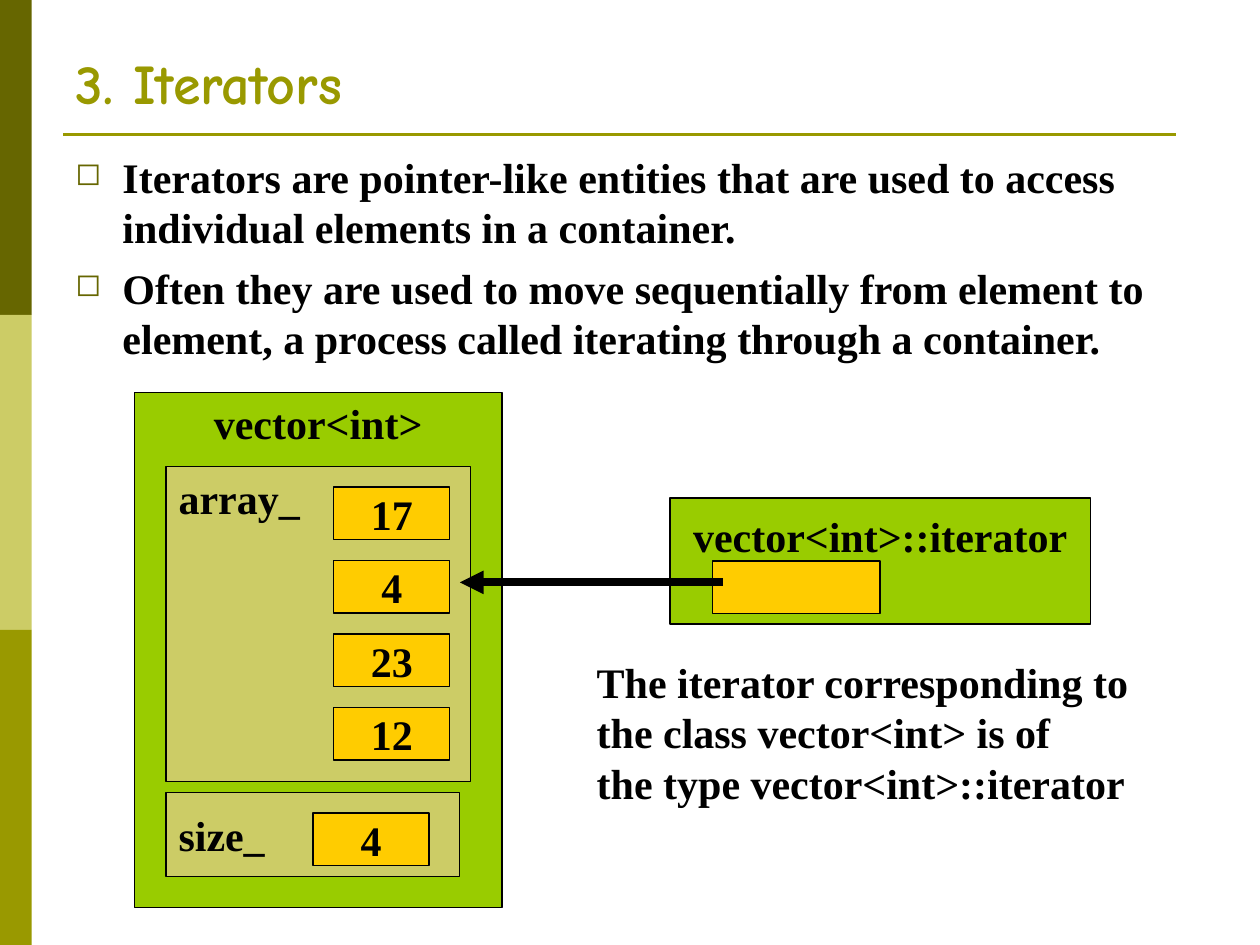
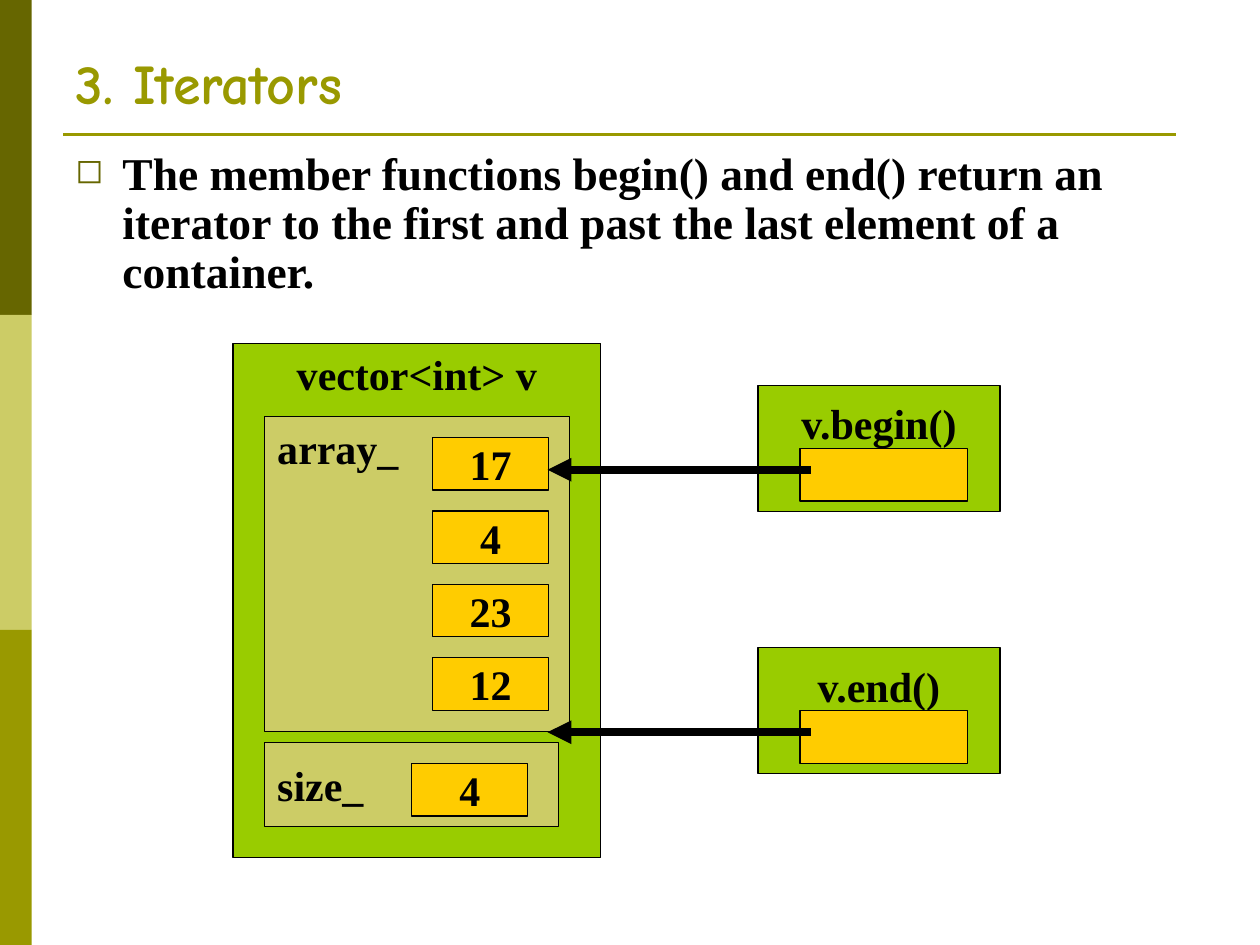
"""Build two slides on iterators over a vector."""
from dataclasses import dataclass

from lxml.etree import SubElement
from pptx import Presentation
from pptx.dml.color import RGBColor
from pptx.enum.shapes import MSO_CONNECTOR, MSO_SHAPE
from pptx.enum.text import MSO_ANCHOR, PP_ALIGN
from pptx.oxml.ns import qn
from pptx.util import Cm, Pt


@dataclass(frozen=True)
class Theme:
    """Colours, fonts and type sizes."""
    dark: str = "666600"
    pale: str = "CCCC66"
    olive: str = "999900"
    green: str = "99CC00"
    gold: str = "FFCC00"
    ink: str = "000000"
    head: str = "Comic Neue"
    body: str = "Times New Roman"
    title: int = 32
    lead: int = 26
    text: int = 24


THEME = Theme()


def style(para, size=THEME.text, name=THEME.body, tint=THEME.ink):
    """Set the bold font of a paragraph."""
    font = para.font
    font.name, font.size, font.bold = name, Pt(size), True
    font.color.rgb = RGBColor.from_string(tint)


def add_rect(slide, x, y, wide, high, fill, edge=True):
    """Draw a filled rectangle, with or without an outline."""
    rect = slide.shapes.add_shape(
        MSO_SHAPE.RECTANGLE, Cm(x), Cm(y), Cm(wide), Cm(high))
    rect.shadow.inherit = False
    rect.fill.solid()
    rect.fill.fore_color.rgb = RGBColor.from_string(fill)
    if edge:
        rect.line.color.rgb = RGBColor.from_string(THEME.ink)
        rect.line.width = Pt(0.75)
    else:
        rect.line.fill.background()
    return rect


def add_label(rect, text, align=PP_ALIGN.CENTER, top=None):
    """Write in a rectangle, in the middle or a set way from its top."""
    frame = rect.text_frame
    frame.word_wrap = True
    frame.vertical_anchor = MSO_ANCHOR.MIDDLE
    if top is not None:
        frame.vertical_anchor = MSO_ANCHOR.TOP
        frame.margin_top = Cm(top)
    para = frame.paragraphs[0]
    para.text, para.alignment = text, align
    style(para)


def add_line(slide, start, end, tint, width):
    """Draw a straight line without a shadow."""
    line = slide.shapes.add_connector(
        MSO_CONNECTOR.STRAIGHT, *(Cm(n) for n in (*start, *end)))
    line.line.color.rgb = RGBColor.from_string(tint)
    line.line.width = Pt(width)
    SubElement(line.element.spPr, qn("a:effectLst"))
    return line


def add_arrow(slide, start, end):
    """Draw a thick line with a head at its end."""
    arrow = add_line(slide, start, end, THEME.ink, 4.5)
    SubElement(arrow.line._get_or_add_ln(), qn("a:tailEnd"), type="triangle")


def add_frame(slide):
    """Put the side bands and title rule on the layout of a slide."""
    tints = (THEME.dark, THEME.pale, THEME.olive)
    parts = [add_rect(slide, 0, 6.35 * row, 0.64, 6.35, tint, False)
             for row, tint in enumerate(tints)]
    parts.append(add_line(slide, (1.27, 2.71), (23.7, 2.71), THEME.olive, 1.5))
    for part in parts:
        slide.slide_layout.shapes.element.append(part.element)


def add_title(slide, text):
    """Place and format the title."""
    title = slide.shapes.title
    title.left, title.top = Cm(1.27), Cm(0.71)
    title.width, title.height = Cm(22.86), Cm(1.75)
    frame = title.text_frame
    frame.vertical_anchor = MSO_ANCHOR.BOTTOM
    para = frame.paragraphs[0]
    para.text, para.alignment = text, PP_ALIGN.LEFT
    style(para, THEME.title, THEME.head, THEME.olive)


def add_text(slide, x, y, wide, high, lines):
    """Add a wrapped text box and give back its paragraphs."""
    frame = slide.shapes.add_textbox(
        Cm(x), Cm(y), Cm(wide), Cm(high)).text_frame
    frame.word_wrap = True
    frame.text = "\n".join(lines)
    return frame.paragraphs


def add_points(slide, high, lines, size=THEME.text, pitch=1.0):
    """Add the list of points below the title."""
    paras = add_text(slide, 1.27, 2.92, 22.86, high, lines)
    for rank, para in enumerate(paras):
        para.line_spacing = pitch
        para.space_before = Pt(6 if rank else 0)
        props = para._p.get_or_add_pPr()
        props.set("marL", str(Cm(0.95)))
        props.set("indent", str(Cm(-0.95)))
        tint = SubElement(props, qn("a:buClr"))
        SubElement(tint, qn("a:srgbClr"), val=THEME.dark)
        SubElement(props, qn("a:buSzPct"), val="75000")
        SubElement(props, qn("a:buChar"), char="◻")
        style(para, size)


def add_cell(slide, x, y, value):
    """Draw one stored value."""
    add_label(add_rect(slide, x, y, 2.34, 1.06, THEME.gold), value)


def add_vector(slide, x, y, name, values):
    """Draw a vector with its array and its size."""
    left = PP_ALIGN.LEFT
    add_label(add_rect(slide, x, y, 7.41, 10.37, THEME.green), name, top=0.1)
    store = add_rect(slide, x + 0.64, y + 1.48, 6.14, 6.35, THEME.pale)
    add_label(store, "array_", left, 0.12)
    for row, value in enumerate(values):
        add_cell(slide, x + 4.02, y + 1.9 + 1.48 * row, value)
    count = add_rect(slide, x + 0.64, y + 8.05, 5.92, 1.7, THEME.pale)
    add_label(count, "size_", left)
    add_cell(slide, x + 3.6, y + 8.47, str(len(values)))


def add_iter(slide, x, y, wide, name):
    """Draw an iterator with its pointer and arrow."""
    add_label(add_rect(slide, x, y, wide, 2.54, THEME.green), name, top=0.25)
    add_rect(slide, x + 0.85, y + 1.27, 3.38, 1.06, THEME.gold)
    tail, level = x + 1.06, y + 1.7
    add_arrow(slide, (tail, level), (tail - 5.3, level))


def main():
    """Build and save the slides."""
    deck = Presentation()
    deck.slide_width, deck.slide_height = Cm(25.4), Cm(19.05)
    first, second = (deck.slides.add_slide(deck.slide_layouts[5])
                     for _ in range(2))
    add_frame(first)
    for slide in (first, second):
        add_title(slide, "3. Iterators")
    values = ("17", "4", "23", "12")

    add_points(first, 5, (
        "Iterators are pointer-like entities that are used to access "
        "individual elements in a container.",
        "Often they are used to move sequentially from element to element, "
        "a process called iterating through a container."))
    add_vector(first, 2.71, 7.92, "vector<int>", values)
    add_iter(first, 13.51, 10.04, 8.47, "vector<int>::iterator")
    for para in add_text(first, 11.78, 13.11, 11.6, 3.3, (
            "The iterator corresponding to",
            "the class vector<int> is of",
            "the type vector<int>::iterator")):
        style(para)

    add_points(second, 3.6, (
        "The member functions begin() and end() return an iterator to the "
        "first and past the last element of a container.",), THEME.lead, 0.9)
    add_vector(second, 4.7, 6.92, "vector<int> v", values)
    for y, name in ((13.06, "v.end()"), (7.77, "v.begin()")):
        add_iter(second, 15.28, y, 4.88, name)
    deck.save("out.pptx")


if __name__ == "__main__":
    main()
